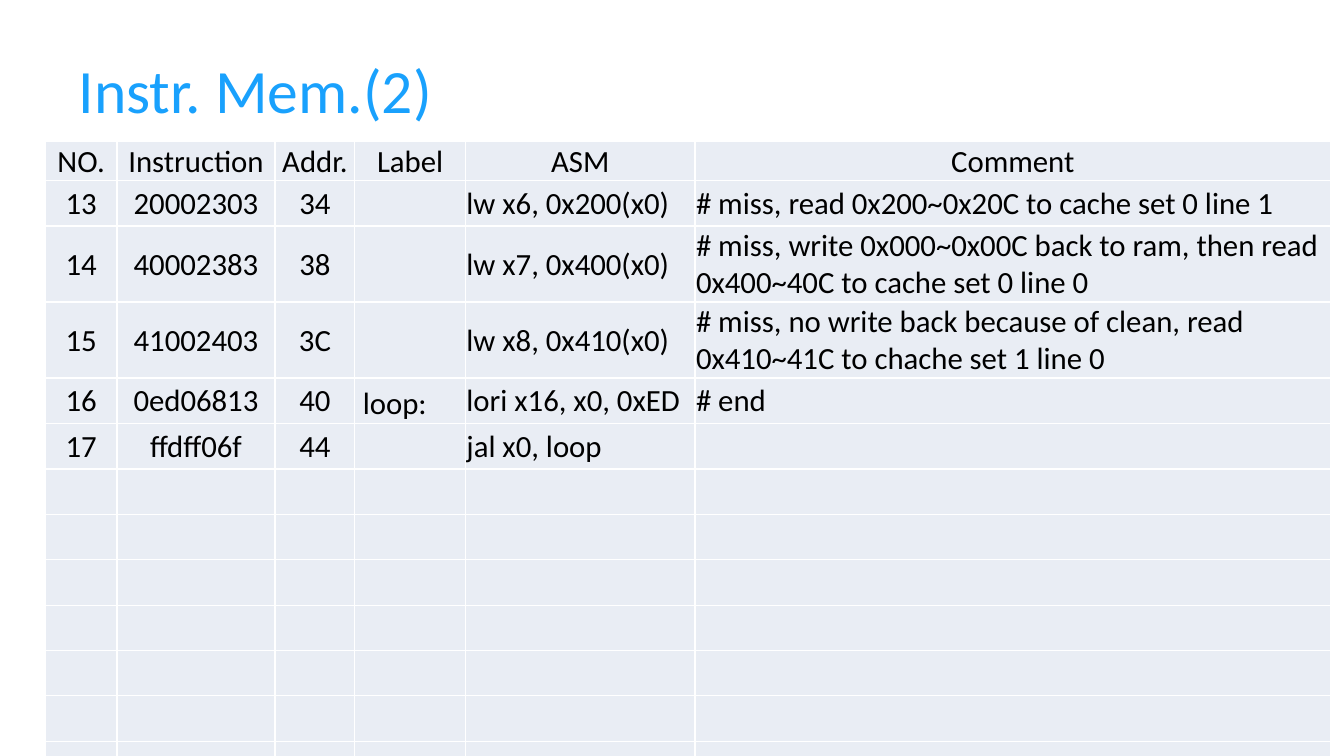
from dataclasses import dataclass

from lxml import etree
from pptx import Presentation
from pptx.dml.color import RGBColor
from pptx.enum.text import MSO_ANCHOR, PP_ALIGN
from pptx.oxml.ns import qn
from pptx.util import Pt

MIDDLE = MSO_ANCHOR.MIDDLE
CENTER, LEFT = PP_ALIGN.CENTER, PP_ALIGN.LEFT
TITLE_ONLY = 5


@dataclass(frozen=True)
class Theme:
    font: str = "Calibri"
    title_color: str = "19A1FD"
    text_color: str = "000000"
    cell_fill: str = "E9EDF4"
    border_color: str = "FFFFFF"
    title_size: float = 44
    cell_size: float = 22
    border_width: float = 1


HEADERS = ["NO.", "Instruction", "Addr.", "Label", "ASM", "Comment"]
INSTRUCTIONS = [
    ["13", "20002303", "34", "", "lw x6, 0x200(x0)",
     "# miss, read 0x200~0x20C to cache set 0 line 1"],
    ["14", "40002383", "38", "", "lw x7, 0x400(x0)",
     "# miss, write 0x000~0x00C back to ram, then read 0x400~40C to cache set 0 line 0"],
    ["15", "41002403", "3C", "", "lw x8, 0x410(x0)",
     "# miss, no write back because of clean, read 0x410~41C to chache set 1 line 0"],
    ["16", "0ed06813", "40", "loop:　", "lori x16, x0, 0xED", "# end"],
    ["17", "ffdff06f", "44", "", "jal x0, loop", ""],
]
EMPTY_ROWS = 8
COLUMN_WIDTHS = [51, 113, 57, 79, 164, 454]
HEADER_HEIGHT, LINE_HEIGHT, TWO_LINE_HEIGHT = 27.8, 32.4, 54.3
TWO_LINE_ROWS = (2, 3)
FIRST_LEFT_COLUMN = 4


class SlideBuilder:
    def __init__(self, slide, theme):
        self.slide = slide
        self.theme = theme

    def format_paragraph(self, paragraph, size, color, alignment):
        paragraph.alignment = alignment
        for run in paragraph.runs:
            run.font.name = self.theme.font
            run.font.size = Pt(size)
            run.font.color.rgb = RGBColor.from_string(color)

    def add_title(self, text, left, top, width, height):
        title = self.slide.shapes.title
        title.left, title.top = Pt(left), Pt(top)
        title.width, title.height = Pt(width), Pt(height)
        title.text_frame.text = text
        title.text_frame.vertical_anchor = MIDDLE
        self.format_paragraph(title.text_frame.paragraphs[0],
                              self.theme.title_size, self.theme.title_color, LEFT)

    def add_borders(self, cell):
        properties = cell._tc.get_or_add_tcPr()
        for index, side in enumerate(("lnL", "lnR", "lnT", "lnB")):
            line = etree.Element(qn(f"a:{side}"), w=str(Pt(self.theme.border_width)))
            fill = etree.SubElement(line, qn("a:solidFill"))
            etree.SubElement(fill, qn("a:srgbClr"), val=self.theme.border_color)
            properties.insert(index, line)

    def fill_cell(self, cell, text, alignment):
        cell.fill.solid()
        cell.fill.fore_color.rgb = RGBColor.from_string(self.theme.cell_fill)
        self.add_borders(cell)
        if text:
            cell.text_frame.text = text
            cell.vertical_anchor = MIDDLE
            cell.margin_left = cell.margin_right = cell.margin_top = Pt(0.75)
            cell.margin_bottom = Pt(0)
            self.format_paragraph(cell.text_frame.paragraphs[0],
                                  self.theme.cell_size, self.theme.text_color, alignment)

    def add_table(self, rows, left, top, column_widths, row_heights):
        table = self.slide.shapes.add_table(
            len(rows), len(column_widths), Pt(left), Pt(top),
            Pt(sum(column_widths)), Pt(sum(row_heights))).table
        table.first_row = False
        table.horz_banding = False
        for column, width in zip(table.columns, column_widths):
            column.width = Pt(width)
        for row_index, (texts, height) in enumerate(zip(rows, row_heights)):
            table.rows[row_index].height = Pt(height)
            for column_index, text in enumerate(texts):
                is_left = row_index > 0 and column_index >= FIRST_LEFT_COLUMN
                self.fill_cell(table.cell(row_index, column_index), text,
                               LEFT if is_left else CENTER)


def main():
    presentation = Presentation()
    presentation.slide_width, presentation.slide_height = Pt(960), Pt(540)
    slide = presentation.slides.add_slide(presentation.slide_layouts[TITLE_ONLY])
    builder = SlideBuilder(slide, Theme())
    builder.add_title("Instr. Mem.(2)", 49, 26, 736, 75)

    rows = [HEADERS] + INSTRUCTIONS + [[""] * len(HEADERS)] * EMPTY_ROWS
    row_heights = [HEADER_HEIGHT] + [
        TWO_LINE_HEIGHT if index in TWO_LINE_ROWS else LINE_HEIGHT
        for index in range(1, len(rows))]
    builder.add_table(rows, 32.5, 101.3, COLUMN_WIDTHS, row_heights)
    presentation.save("out.pptx")


if __name__ == "__main__":
    main()
